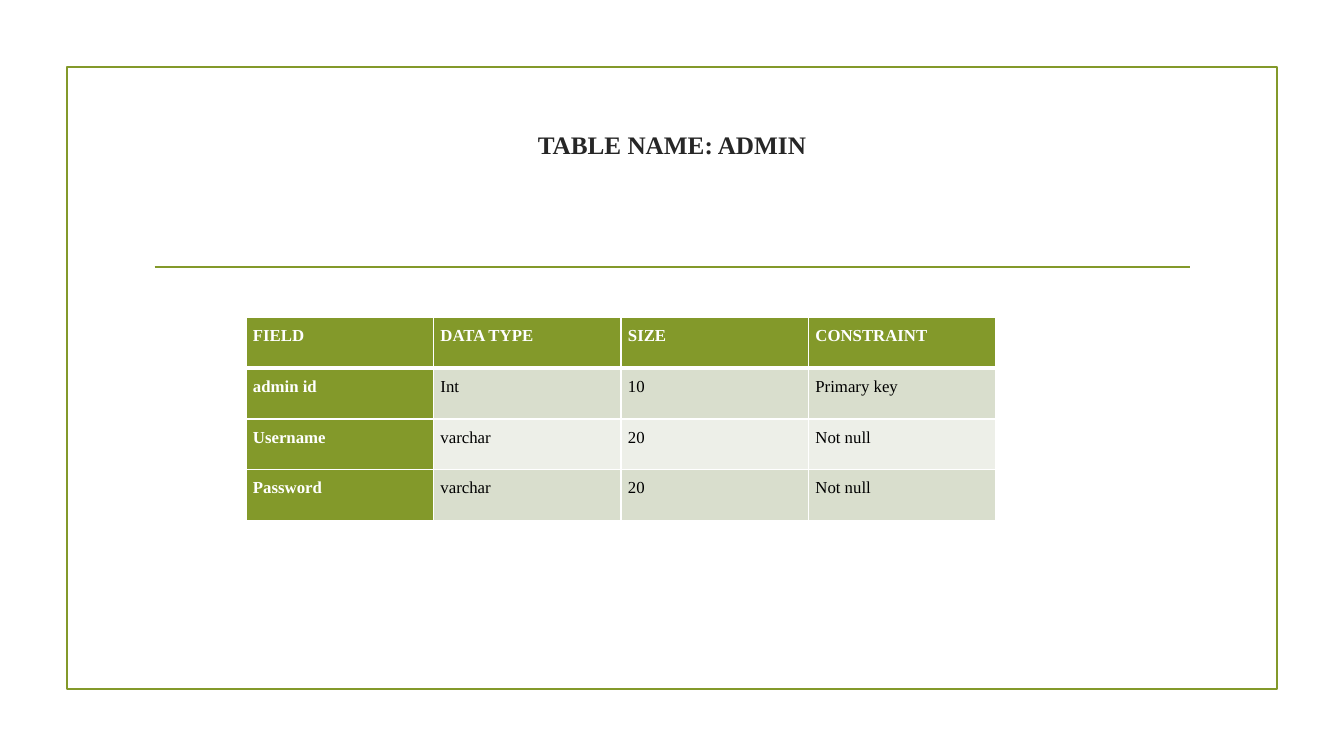
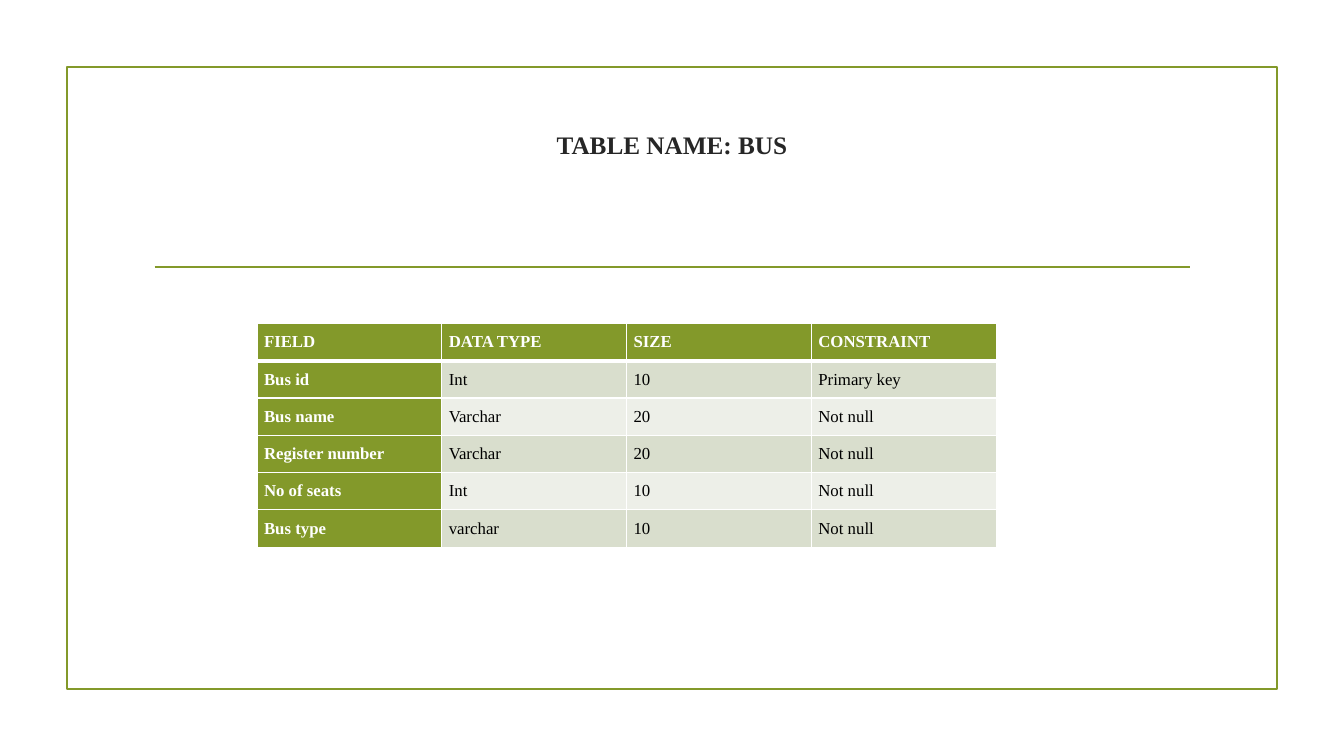
from dataclasses import dataclass

from lxml import etree
from pptx import Presentation
from pptx import util as u
from pptx.dml.color import RGBColor
from pptx.enum import shapes, text
from pptx.oxml import ns

SLIDE_WIDTH, SLIDE_HEIGHT = u.Inches(13.33), u.Inches(7.5)
GRID_COLUMNS, GRID_ROWS = 40, 22.5
FONT = "Times New Roman"
GREEN, WHITE, BLACK, TITLE_INK = "83992A", "FFFFFF", "000000", "262626"
BANDS = ("D9DECD", "EDEFE8")
OUTLINE, CELL_BORDER, HEADER_RULE = 1.25, 1, 3
HEADERS = ("FIELD", "DATA TYPE", "SIZE", "CONSTRAINT")


@dataclass(frozen=True)
class Box:
    column: float
    row: float
    columns: float
    rows: float

    def place(self) -> tuple[int, int, int, int]:
        return across(self.column), down(self.row), across(self.columns), down(self.rows)


@dataclass(frozen=True)
class TableSlide:
    title: str
    column: float
    row: float
    cell_columns: float
    cell_rows: float
    records: tuple[tuple[str, ...], ...]


FRAME = Box(2, 2, 36, 18.5)
TITLE = Box(4.25, 3.2, 31.5, 4.3)
RULE = Box(4.6, 7.95, 30.83, 0)

TABLE_SLIDES = (
    TableSlide("TABLE NAME: ADMIN", 7.32, 9.45, 5.58, 1.51, (
        ("admin id", "Int", "10", "Primary key"),
        ("Username", "varchar", "20", "Not null"),
        ("Password", "varchar", "20", "Not null"),
    )),
    TableSlide("TABLE NAME: BUS", 7.65, 9.63, 5.5, 1.11, (
        ("Bus id", "Int", "10", "Primary key"),
        ("Bus name", "Varchar", "20", "Not null"),
        ("Register number", "Varchar", "20", "Not null"),
        ("No of seats", "Int", "10", "Not null"),
        ("Bus type", "varchar", "10", "Not null"),
    )),
)


def across(columns: float) -> int:
    return round(SLIDE_WIDTH * columns / GRID_COLUMNS)


def down(rows: float) -> int:
    return round(SLIDE_HEIGHT * rows / GRID_ROWS)


def color(value: str) -> RGBColor:
    return RGBColor.from_string(value)


def write_text(text_frame, content: str, *, size: float, ink: str, bold: bool = False,
               align=text.PP_ALIGN.LEFT, line_spacing: float = 1.0) -> None:
    text_frame.word_wrap = True
    paragraph = text_frame.paragraphs[0]
    paragraph.alignment = align
    paragraph.line_spacing = line_spacing
    run = paragraph.add_run()
    run.text = content
    run.font.name = FONT
    run.font.size = u.Pt(size)
    run.font.bold = bold
    run.font.color.rgb = color(ink)


def outline(line) -> None:
    line.color.rgb = color(GREEN)
    line.width = u.Pt(OUTLINE)


def add_frame(slide) -> None:
    frame = slide.shapes.add_shape(shapes.MSO_SHAPE.RECTANGLE, *FRAME.place())
    frame.shadow.inherit = False
    frame.fill.background()
    outline(frame.line)


def add_rule(slide) -> None:
    left, top, width, height = RULE.place()
    rule = slide.shapes.add_connector(
        shapes.MSO_CONNECTOR.STRAIGHT, left, top, left + width, top + height)
    outline(rule.line)
    etree.SubElement(rule._element.spPr, ns.qn("a:effectLst"))


def add_title(slide, content: str) -> None:
    title = slide.shapes.title
    title.left, title.top, title.width, title.height = TITLE.place()
    text_frame = title.text_frame
    text_frame.auto_size = text.MSO_AUTO_SIZE.NONE
    text_frame.vertical_anchor = text.MSO_ANCHOR.MIDDLE
    text_frame.margin_top, text_frame.margin_bottom = down(0.15), down(2.25)
    write_text(text_frame, content, size=18, ink=TITLE_INK, bold=True,
               align=text.PP_ALIGN.CENTER)


def set_borders(cell, **widths: float) -> None:
    properties = cell._tc.get_or_add_tcPr()
    for side in ("L", "R", "T", "B"):
        width = u.Pt(widths.get(side, CELL_BORDER))
        border = etree.SubElement(properties, ns.qn(f"a:ln{side}"), w=str(width))
        fill = etree.SubElement(border, ns.qn("a:solidFill"))
        etree.SubElement(fill, ns.qn("a:srgbClr"), val=WHITE)


def format_cell(cell, content: str, row: int, column: int) -> None:
    heading = row == 0 or column == 0
    cell.margin_left = cell.margin_right = u.Inches(0.07)
    cell.margin_top = cell.margin_bottom = 0
    set_borders(cell, T=HEADER_RULE if row == 1 else CELL_BORDER,
                B=HEADER_RULE if row == 0 else CELL_BORDER)
    cell.fill.solid()
    cell.fill.fore_color.rgb = color(GREEN if heading else BANDS[(row - 1) % 2])
    write_text(cell.text_frame, content, size=12, ink=WHITE if heading else BLACK,
               bold=heading, line_spacing=1.5)


def add_field_table(slide, content: TableSlide) -> None:
    rows = (HEADERS, *content.records)
    box = Box(content.column, content.row, content.cell_columns * len(HEADERS),
              content.cell_rows * len(rows))
    table = slide.shapes.add_table(len(rows), len(HEADERS), *box.place()).table
    table.first_col = True
    for column in table.columns:
        column.width = across(content.cell_columns)
    for row_index, values in enumerate(rows):
        table.rows[row_index].height = down(content.cell_rows)
        for column_index, value in enumerate(values):
            format_cell(table.cell(row_index, column_index), value, row_index, column_index)


def main() -> None:
    presentation = Presentation()
    presentation.slide_width, presentation.slide_height = SLIDE_WIDTH, SLIDE_HEIGHT
    title_only = presentation.slide_layouts.get_by_name("Title Only")
    for content in TABLE_SLIDES:
        slide = presentation.slides.add_slide(title_only)
        add_frame(slide)
        add_rule(slide)
        add_title(slide, content.title)
        add_field_table(slide, content)
    presentation.save("out.pptx")


if __name__ == "__main__":
    main()
